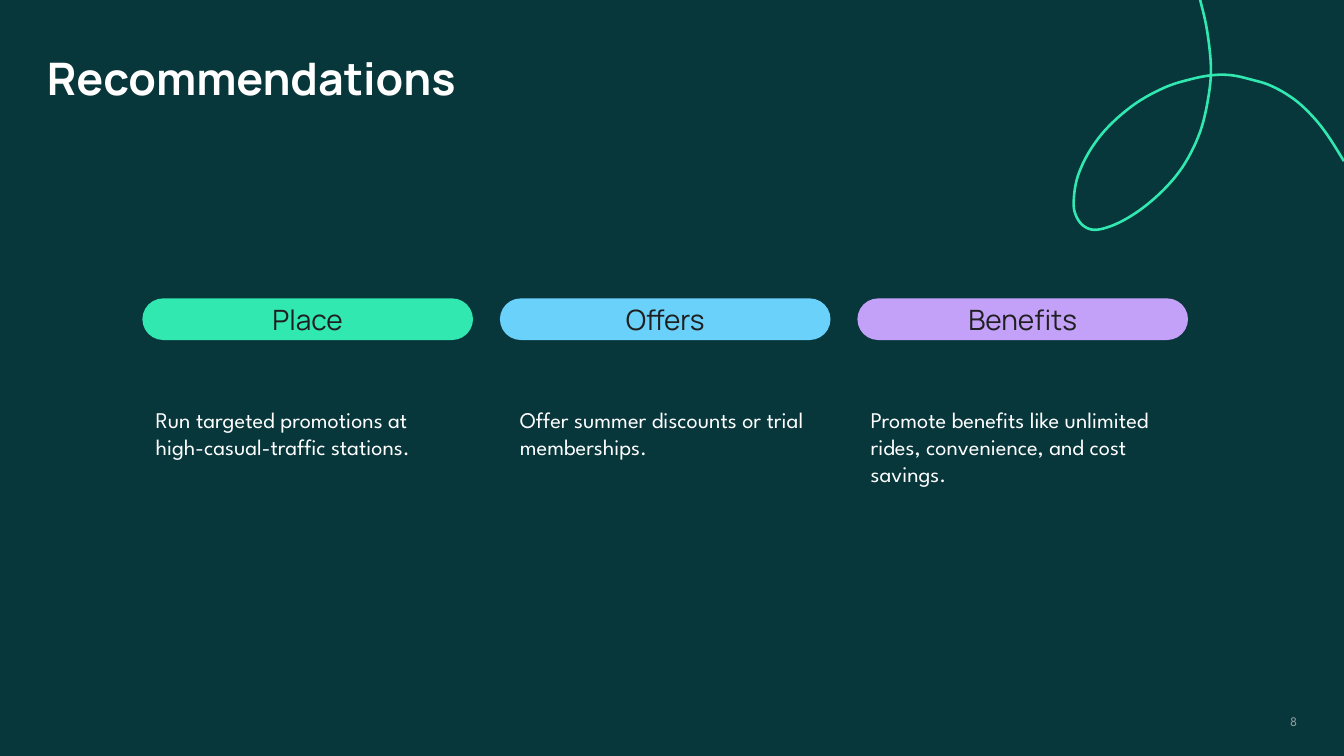
"""Build the Recommendations slide with three labelled columns."""
from pptx import Presentation
from pptx.dml.color import RGBColor
from pptx.enum.shapes import MSO_SHAPE
from pptx.enum.text import MSO_ANCHOR, PP_ALIGN
from pptx.util import Inches, Pt

ROUNDED = MSO_SHAPE.ROUNDED_RECTANGLE
TOP, MIDDLE = MSO_ANCHOR.TOP, MSO_ANCHOR.MIDDLE
LEFT, CENTER, RIGHT = PP_ALIGN.LEFT, PP_ALIGN.CENTER, PP_ALIGN.RIGHT

TEAL = RGBColor(0x07, 0x36, 0x3B)
GREEN = RGBColor(0x30, 0xE8, 0xB0)
BLUE = RGBColor(0x6A, 0xD1, 0xFA)
PURPLE = RGBColor(0xC3, 0xA1, 0xF8)
WHITE = RGBColor(0xFF, 0xFF, 0xFF)
INK = RGBColor(0x1F, 0x1F, 0x1F)
GRAY = RGBColor(0x93, 0xA2, 0xA2)

HEADING_FONT = "Manrope"
BODY_FONT = "League Spartan"

TITLE = "Recommendations"
PAGE_NUMBER = "8"
COLUMNS = [
    ("Place", GREEN, "Run targeted promotions at high-casual-traffic stations.", 0),
    ("Offers", BLUE, "Offer summer discounts or trial memberships.", 0.05),
    ("Benefits", PURPLE,
     "Promote benefits like unlimited rides, convenience, and cost savings.", 0),
]
LOOP = [
    (8.93, 0), (8.98, 0.22), (9.01, 0.5), (8.99, 0.73), (8.93, 0.98),
    (8.82, 1.21), (8.68, 1.39), (8.5, 1.55), (8.32, 1.66), (8.16, 1.71),
    (8.06, 1.68), (8, 1.59), (7.99, 1.48), (8.02, 1.31), (8.11, 1.12),
    (8.25, 0.94), (8.45, 0.77), (8.67, 0.65), (8.86, 0.59), (9.02, 0.56),
    (9.16, 0.56), (9.3, 0.59), (9.46, 0.64), (9.63, 0.74), (9.77, 0.87),
    (9.88, 1.01), (10, 1.2),
]

SLIDE_WIDTH = Inches(10)
SLIDE_HEIGHT = SLIDE_WIDTH * 9 // 16
COLUMN_LEFT, COLUMN_WIDTH, COLUMN_STEP = 1.06, 2.46, 2.66
PILL_TOP, PILL_HEIGHT = 2.22, 0.31
BODY_TOP, BODY_HEIGHT = 2.92, 1.25
CURVE_STEPS = 6


def write(shape, text, font, size, color, align=LEFT, anchor=TOP, bold=False):
    frame = shape.text_frame
    frame.word_wrap = True
    frame.vertical_anchor = anchor
    frame.margin_left = frame.margin_right = Inches(0.1)
    frame.margin_top = frame.margin_bottom = Inches(0.1)
    para = frame.paragraphs[0]
    para.alignment = align
    span = para.add_run()
    span.text = text
    span.font.name = font
    span.font.size = Pt(size)
    span.font.bold = bold
    span.font.color.rgb = color


def add_text(page, area, *style, **options):
    box = page.shapes.add_textbox(*map(Inches, area))
    write(box, *style, **options)


def add_pill(page, left, label, color):
    area = (left, PILL_TOP, COLUMN_WIDTH, PILL_HEIGHT)
    pill = page.shapes.add_shape(ROUNDED, *map(Inches, area))
    pill.adjustments[0] = 0.5
    pill.shadow.inherit = False
    pill.fill.solid()
    pill.fill.fore_color.rgb = color
    pill.line.fill.background()
    write(pill, label, HEADING_FONT, 15, INK, align=CENTER, anchor=MIDDLE)


def blend(a, b, c, d, t):
    return (2 * b + (c - a) * t + (2 * a - 5 * b + 4 * c - d) * t ** 2
            + (3 * b - a - 3 * c + d) * t ** 3) / 2


def smooth(points):
    padded = [points[0], *points, points[-1]]
    curve = [
        tuple(blend(*axis, step / CURVE_STEPS) for axis in zip(*padded[i:i + 4]))
        for i in range(len(points) - 1)
        for step in range(CURVE_STEPS)
    ]
    return curve + [points[-1]]


def add_loop(page):
    start, *rest = [(Inches(x), Inches(y)) for x, y in smooth(LOOP)]
    builder = page.shapes.build_freeform(*start)
    builder.add_line_segments(rest, close=False)
    loop = builder.convert_to_shape()
    loop.shadow.inherit = False
    loop.fill.background()
    loop.line.color.rgb = GREEN
    loop.line.width = Pt(1.4)


def main():
    deck = Presentation()
    deck.slide_width, deck.slide_height = SLIDE_WIDTH, SLIDE_HEIGHT
    page = deck.slides.add_slide(deck.slide_layouts[6])
    page.background.fill.solid()
    page.background.fill.fore_color.rgb = TEAL

    add_text(page, (7.35, 5.25, 2.4, 0.32), PAGE_NUMBER, BODY_FONT, 7, GRAY, align=RIGHT)
    add_loop(page)
    add_text(page, (0.25, 0.28, 5.25, 0.61), TITLE, HEADING_FONT, 24, WHITE, bold=True)

    for index, (label, color, advice, shift) in enumerate(COLUMNS):
        left = COLUMN_LEFT + index * COLUMN_STEP
        add_pill(page, left, label, color)
        add_text(page, (left + shift, BODY_TOP, COLUMN_WIDTH, BODY_HEIGHT),
                 advice, BODY_FONT, 12, WHITE)

    deck.save("out.pptx")


if __name__ == "__main__":
    main()
